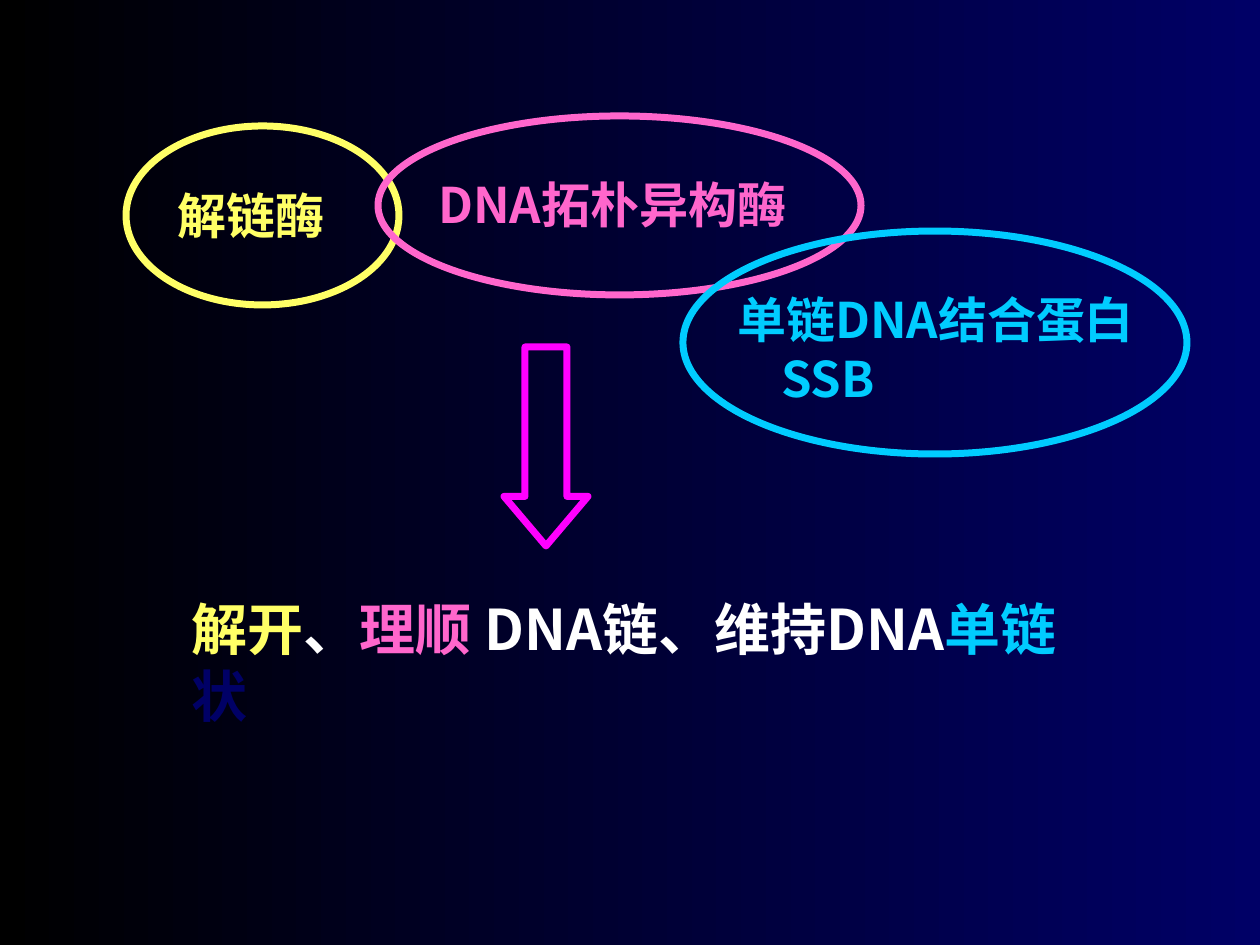
from lxml import etree
from pptx import Presentation
from pptx import util as u
from pptx.dml.color import RGBColor
from pptx.enum import shapes, text
from pptx.oxml import ns

SCALE = 914400 / 126  # EMU per px
FONT = "Noto Sans CJK SC"
YELLOW, PINK, CYAN = "FFFF66", "FF66CC", "00CCFF"
MAGENTA, WHITE, NAVY, BLACK = "FF00FF", "FFFFFF", "000066", "000000"


def px(length):
    return u.Emu(round(length * SCALE))


def color(hex_string):
    return RGBColor.from_string(hex_string)


def add_run(paragraph, words, size, hex_string):
    run = paragraph.add_run()
    run.text = words
    font = run.font
    font.size, font.bold, font.name = u.Pt(size), True, FONT
    font.color.rgb = color(hex_string)
    # East Asian typeface for the Chinese characters
    east_asian = etree.SubElement(font._element, ns.qn("a:ea"))
    east_asian.set("typeface", FONT)


def add_text(slide, box, paragraphs, size, wrap):
    """Each paragraph is an indent in px and a list of (words, colour) runs."""
    frame = slide.shapes.add_textbox(*map(px, box)).text_frame
    frame.word_wrap = wrap
    frame.auto_size = text.MSO_AUTO_SIZE.SHAPE_TO_FIT_TEXT
    for index, (indent, runs) in enumerate(paragraphs):
        paragraph = frame.add_paragraph() if index else frame.paragraphs[0]
        if indent:
            paragraph._p.get_or_add_pPr().set("marL", str(px(indent)))
        for words, hex_string in runs:
            add_run(paragraph, words, size, hex_string)


def add_outline(slide, kind, box, hex_string):
    shape = slide.shapes.add_shape(kind, *map(px, box))
    shape.shadow.inherit = False
    shape.fill.background()
    shape.line.color.rgb = color(hex_string)
    shape.line.width = u.Pt(4)
    return shape


def add_protein(slide, box, label_box, lines, hex_string):
    """An ellipse with its label, placed relative to the ellipse."""
    left, top = box[:2]
    dx, dy, width, height = label_box
    paragraphs = [(indent, [(words, hex_string)]) for indent, words in lines]
    add_text(slide, (left + dx, top + dy, width, height), paragraphs, 28, False)
    add_outline(slide, shapes.MSO_SHAPE.OVAL, box, hex_string)


def add_arrow(slide, box):
    arrow = add_outline(slide, shapes.MSO_SHAPE.DOWN_ARROW, box, MAGENTA)
    arrow.adjustments[0] = 0.5
    arrow.adjustments[1] = 0.59


def add_result(slide, box):
    runs = [("解开", YELLOW), ("、", WHITE), ("理顺 ", PINK),
            ("DNA链、维持DNA", WHITE), ("单链", CYAN), ("状", NAVY)]
    add_text(slide, box, [(0, runs)], 32, True)


def set_background(slide):
    fill = slide.background.fill
    fill.gradient()
    fill.gradient_angle = 0
    for stop, position, hex_string in zip(fill.gradient_stops, (0, 1), (BLACK, NAVY)):
        stop.position = position
        stop.color.rgb = color(hex_string)


def main():
    presentation = Presentation()
    presentation.slide_width, presentation.slide_height = px(1260), px(945)
    slide = presentation.slides.add_slide(presentation.slide_layouts[6])
    set_background(slide)

    # Proteins that open the double strand
    add_protein(slide, (126, 126, 273, 179), (39, 53, 183, 72),
                [(0, "解链酶")], YELLOW)
    add_protein(slide, (378, 116, 483, 179), (48, 52, 402, 72),
                [(0, "DNA拓朴异构酶")], PINK)
    add_protein(slide, (683, 231, 504, 223), (42, 52, 462, 131),
                [(0, "单链DNA结合蛋白"), (44, "SSB")], CYAN)

    # Their joint effect
    add_arrow(slide, (504, 347, 84, 199))
    add_result(slide, (179, 588, 924, 147))

    presentation.save("out.pptx")


if __name__ == "__main__":
    main()
